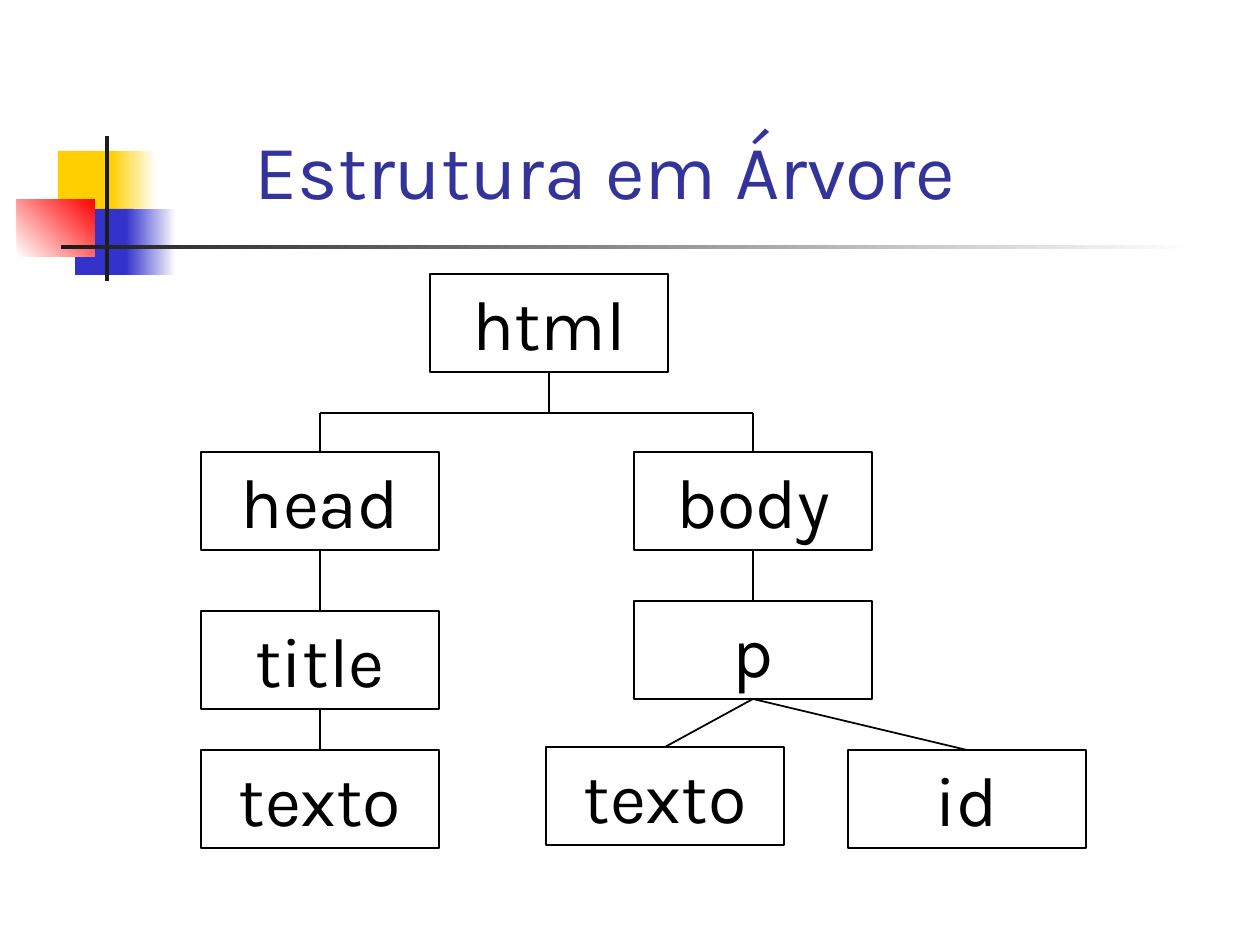
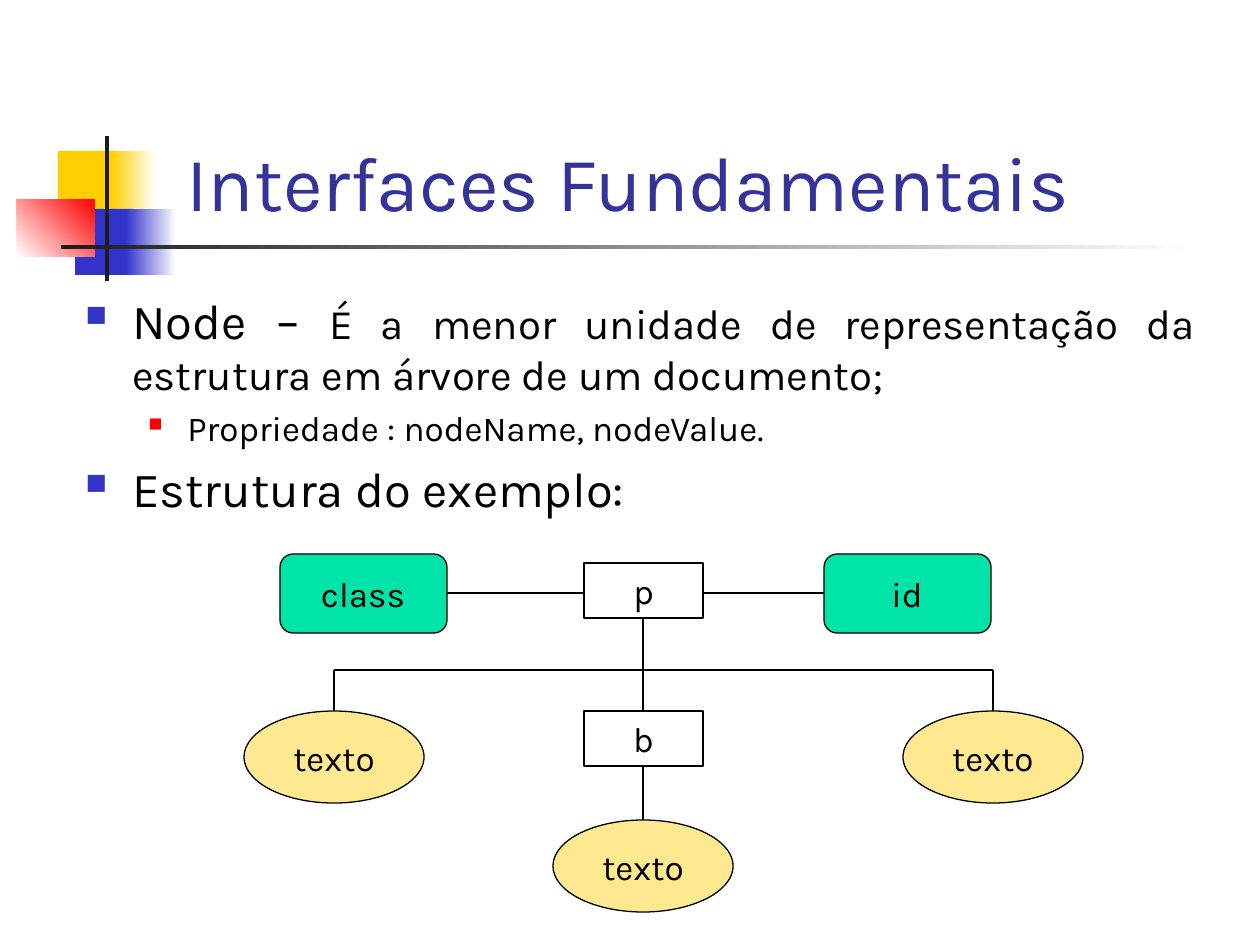
from dataclasses import dataclass
from typing import Optional

import pptx
import pptx.dml.color
import pptx.enum.shapes
import pptx.enum.text
import pptx.oxml.ns
import pptx.util
from lxml import etree

EMU_PER_PIXEL = 914400 / 126
FONT = "Karla"
COLORS = {
    "black": "000000",
    "white": "FFFFFF",
    "ink": "1C1C1C",
    "title": "333399",
    "yellow": "FFCF01",
    "blue": "3333CC",
    "red": "FF0000",
    "green": "00E4A8",
    "cream": "FFE990",
}
SHAPES = pptx.enum.shapes.MSO_SHAPE
ALIGN = pptx.enum.text.PP_ALIGN
ANCHOR = pptx.enum.text.MSO_ANCHOR
FIT = pptx.enum.text.MSO_AUTO_SIZE


@dataclass(frozen=True)
class Area:
    left: int
    top: int
    width: int
    height: int

    @property
    def right(self) -> int:
        return self.left + self.width

    @property
    def bottom(self) -> int:
        return self.top + self.height

    @property
    def center(self) -> int:
        return self.left + self.width // 2

    @property
    def middle(self) -> int:
        return self.top + self.height // 2

    def inner(self, width: int, height: int) -> "Area":
        return Area(self.center - width // 2, self.middle - height // 2, width, height)


@dataclass(frozen=True)
class Band:
    area: Area
    color: str
    fade_to: Optional[str] = None
    angle: int = 0


@dataclass(frozen=True)
class Span:
    text: str
    size: int


@dataclass(frozen=True)
class Bullet:
    spans: tuple[Span, ...]
    level: int = 0


@dataclass(frozen=True)
class BulletStyle:
    margin: int
    hanging: int
    color: str
    percent: int


BANDS = (
    Band(Area(58, 151, 60, 66), "yellow"),
    Band(Area(111, 151, 45, 66), "yellow", "white"),
    Band(Area(75, 209, 58, 66), "blue"),
    Band(Area(126, 209, 50, 66), "blue", "white"),
    Band(Area(17, 199, 78, 58), "white", "red", 45),
    Band(Area(105, 136, 4, 145), "ink"),
    Band(Area(61, 245, 1134, 4), "ink", "white"),
)
BULLET_STYLES = (
    BulletStyle(47, 47, "blue", 60),
    BulletStyle(102, 39, "red", 55),
)


def px(length: int) -> int:
    return pptx.util.Emu(round(length * EMU_PER_PIXEL))


def frame(area: Area) -> tuple[int, ...]:
    return tuple(px(n) for n in (area.left, area.top, area.width, area.height))


def rgb(name: str):
    return pptx.dml.color.RGBColor.from_string(COLORS[name])


def style_font(font, size: int, color: str) -> None:
    font.name = FONT
    font.size = pptx.util.Pt(size)
    font.color.rgb = rgb(color)


def add_band(page, band: Band) -> None:
    shape = page.shapes.add_shape(SHAPES.RECTANGLE, *frame(band.area))
    shape.shadow.inherit = False
    shape.line.fill.background()
    if band.fade_to:
        shape.fill.gradient()
        shape.fill.gradient_angle = band.angle
        for stop, color in zip(shape.fill.gradient_stops, (band.color, band.fade_to)):
            stop.color.rgb = rgb(color)
    else:
        shape.fill.solid()
        shape.fill.fore_color.rgb = rgb(band.color)


def add_page(deck, title: str, area: Area):
    page = deck.slides.add_slide(deck.slide_layouts[6])
    for band in BANDS:
        add_band(page, band)
    box = page.shapes.add_textbox(*frame(area))
    box.text_frame.word_wrap = True
    box.text_frame.vertical_anchor = ANCHOR.BOTTOM
    para = box.text_frame.paragraphs[0]
    para.text = title
    style_font(para.font, 44, "title")
    return page


def write_label(shape, text: str, size: int) -> None:
    shape.text_frame.word_wrap = True
    shape.text_frame.auto_size = FIT.SHAPE_TO_FIT_TEXT
    shape.text_frame.vertical_anchor = ANCHOR.TOP
    para = shape.text_frame.paragraphs[0]
    para.text = text
    para.alignment = ALIGN.CENTER
    style_font(para.font, size, "black")


def add_outline(page, kind, area: Area, width: float, fill: Optional[str] = None):
    shape = page.shapes.add_shape(kind, *frame(area))
    shape.shadow.inherit = False
    shape.line.color.rgb = rgb("black")
    shape.line.width = pptx.util.Pt(width)
    if fill:
        shape.fill.solid()
        shape.fill.fore_color.rgb = rgb(fill)
    else:
        shape.fill.background()
    return shape


def add_element(page, text: str, area: Area, size: int) -> None:
    write_label(add_outline(page, SHAPES.RECTANGLE, area, 1), text, size)


def add_filled_node(page, kind, text: str, area: Area, fill: str) -> None:
    add_outline(page, kind, area, 0.75, fill)
    label = page.shapes.add_textbox(*frame(area.inner(118, 55)))
    write_label(label, text, 20)


def add_line(page, x1: int, y1: int, x2: int, y2: int) -> None:
    line = page.shapes.add_connector(
        pptx.enum.shapes.MSO_CONNECTOR.STRAIGHT, px(x1), px(y1), px(x2), px(y2))
    line.line.color.rgb = rgb("black")
    line.line.width = pptx.util.Pt(1)
    etree.SubElement(line._element.spPr, pptx.oxml.ns.qn("a:effectLst"))


def add_link(page, parent: Area, child: Area) -> None:
    add_line(page, parent.center, parent.bottom, child.center, child.top)


def add_fork(page, parent: Area, children: list[Area], level: int) -> None:
    centers = [child.center for child in children]
    add_line(page, parent.center, parent.bottom, parent.center, level)
    add_line(page, min(centers), level, max(centers), level)
    for child in children:
        add_line(page, child.center, level, child.center, child.top)


def style_bullet(para, style: BulletStyle) -> None:
    def add(parent, tag: str, **attributes: str):
        return etree.SubElement(parent, pptx.oxml.ns.qn(tag), attributes)

    props = para._p.get_or_add_pPr()
    props.set("marL", str(px(style.margin)))
    props.set("indent", str(-px(style.hanging)))
    add(add(props, "a:spcBef"), "a:spcPct", val="20000")
    add(add(props, "a:buClr"), "a:srgbClr", val=COLORS[style.color])
    add(props, "a:buSzPct", val=str(style.percent * 1000))
    add(props, "a:buChar", char="■")


def add_bullets(page, area: Area, bullets: tuple[Bullet, ...]) -> None:
    box = page.shapes.add_textbox(*frame(area))
    box.text_frame.word_wrap = True
    for index, bullet in enumerate(bullets):
        para = box.text_frame.add_paragraph() if index else box.text_frame.paragraphs[0]
        para.level = bullet.level
        para.alignment = ALIGN.JUSTIFY
        style_bullet(para, BULLET_STYLES[bullet.level])
        base_size = bullet.spans[0].size
        style_font(para.font, base_size, "black")
        for span in bullet.spans:
            run = para.add_run()
            run.text = span.text
            if span.size != base_size:
                run.font.size = pptx.util.Pt(span.size)


def build_tree_page(deck) -> None:
    page = add_page(deck, "Estrutura em Árvore", Area(242, 63, 987, 158))
    places = {
        "html": ("html", 430, 274),
        "head": ("head", 201, 452),
        "body": ("body", 634, 452),
        "title": ("title", 201, 611),
        "title text": ("texto", 201, 750),
        "p": ("p", 634, 601),
        "id": ("id", 848, 750),
        "p text": ("texto", 546, 747),
    }
    areas = {key: Area(left, top, 238, 98) for key, (_, left, top) in places.items()}
    for key, (text, _, _) in places.items():
        add_element(page, text, areas[key], 40)
    add_fork(page, areas["html"], [areas["head"], areas["body"]], 413)
    for parent, child in (("head", "title"), ("title", "title text"), ("body", "p"),
                          ("p", "p text"), ("p", "id")):
        add_link(page, areas[parent], areas[child])


def build_node_page(deck) -> None:
    page = add_page(deck, "Interfaces Fundamentais", Area(174, 76, 1052, 157))
    add_bullets(page, Area(73, 284, 1134, 238), (
        Bullet((Span("Node – ", 28),
                Span("É a menor unidade de representação da estrutura em árvore "
                     "de um documento;", 24))),
        Bullet((Span("Propriedade : nodeName, nodeValue.", 20),), 1),
        Bullet((Span("Estrutura do exemplo:", 28),)),
    ))
    paragraph, bold = (Area(584, top, 119, 55) for top in (563, 711))
    css_class, identifier = (Area(left, 554, 167, 79) for left in (280, 824))
    left_text, bold_text, right_text = (
        Area(left, top, 180, 92) for left, top in ((244, 711), (553, 820), (903, 711)))

    add_element(page, "p", paragraph, 20)
    add_element(page, "b", bold, 20)
    for text, area in (("class", css_class), ("id", identifier)):
        add_filled_node(page, SHAPES.ROUNDED_RECTANGLE, text, area, "green")
    for area in (left_text, bold_text, right_text):
        add_filled_node(page, SHAPES.OVAL, "texto", area, "cream")

    add_fork(page, paragraph, [left_text, bold, right_text], 670)
    add_link(page, bold, bold_text)
    for start, end in ((css_class, paragraph), (paragraph, identifier)):
        add_line(page, start.right, css_class.middle, end.left, css_class.middle)


def main() -> None:
    deck = pptx.Presentation()
    deck.slide_width, deck.slide_height = px(1260), px(945)
    build_tree_page(deck)
    build_node_page(deck)
    deck.save("out.pptx")


main()
